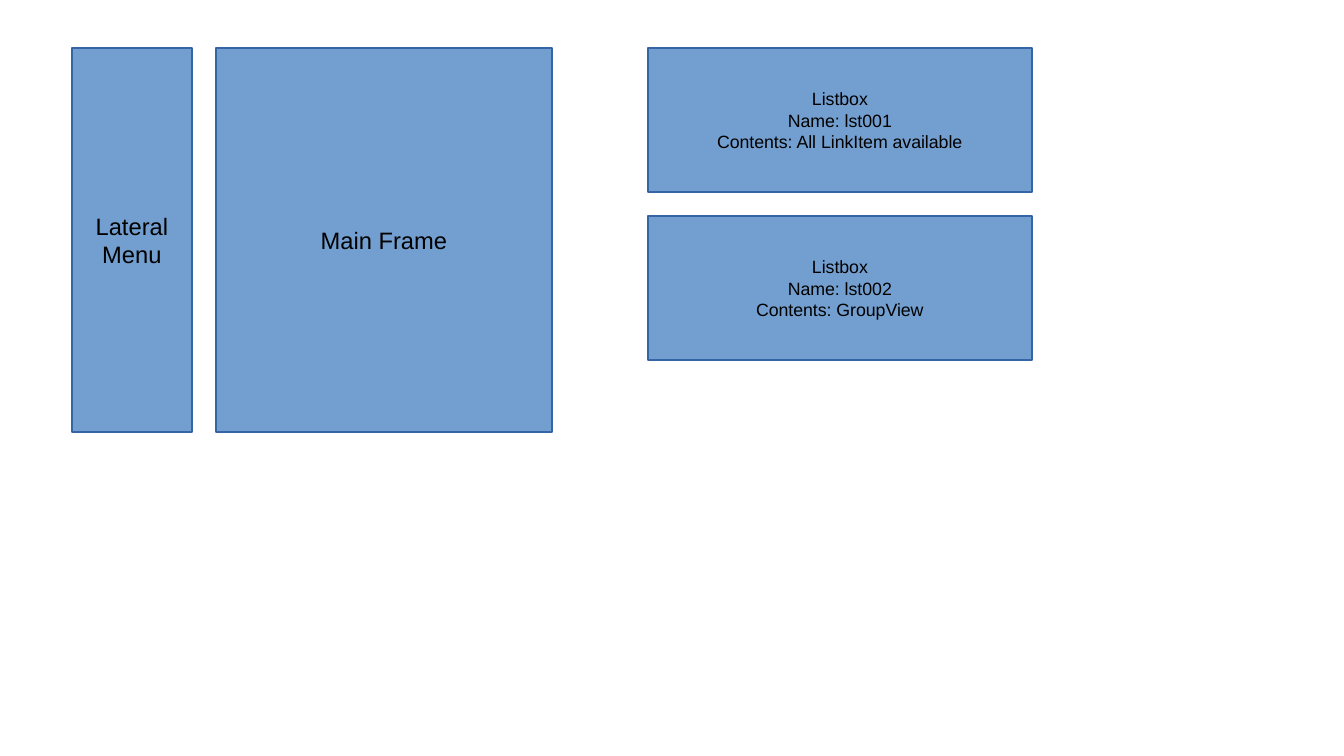
from dataclasses import dataclass

from pptx import Presentation
from pptx.dml.color import RGBColor
from pptx.enum.shapes import MSO_SHAPE
from pptx.enum.text import MSO_ANCHOR, PP_ALIGN
from pptx.util import Cm, Pt


@dataclass(frozen=True)
class Theme:
    fill: RGBColor = RGBColor(0x72, 0x9F, 0xCF)
    line: RGBColor = RGBColor(0x34, 0x65, 0xA4)
    text: RGBColor = RGBColor(0, 0, 0)
    font: str = "Arial"
    frame_size: Pt = Pt(14)
    listbox_size: Pt = Pt(10.5)


THEME = Theme()
TOP = 1
FRAME_HEIGHT = 8
LISTBOX_LEFT, LISTBOX_WIDTH, LISTBOX_HEIGHT = 13.5, 8, 3
LISTBOX_GAP = 0.5

FRAMES = [("Lateral Menu", 1.5, 2.5), ("Main Frame", 4.5, 7)]
LISTBOXES = [("lst001", "All LinkItem available"), ("lst002", "GroupView")]


def apply_format(target, values):
    for name, value in values.items():
        setattr(target, name, value)


def add_box(slide, left, top, width, height, lines, size):
    """Add a filled rectangle, in centimetres, with one centred paragraph per line."""
    shape = slide.shapes.add_shape(
        MSO_SHAPE.RECTANGLE, Cm(left), Cm(top), Cm(width), Cm(height)
    )
    shape.shadow.inherit = False
    shape.fill.solid()
    shape.fill.fore_color.rgb = THEME.fill
    shape.line.color.rgb = THEME.line
    shape.line.width = Pt(0)

    text_frame = shape.text_frame
    apply_format(text_frame, {"word_wrap": True, "vertical_anchor": MSO_ANCHOR.MIDDLE})
    text_frame.text = "\n".join(lines)
    for paragraph in text_frame.paragraphs:
        paragraph.alignment = PP_ALIGN.CENTER
        for run in paragraph.runs:
            apply_format(run.font, {"name": THEME.font, "size": size})
            run.font.color.rgb = THEME.text


def add_frame(slide, label, left, width):
    add_box(slide, left, TOP, width, FRAME_HEIGHT, [label], THEME.frame_size)


def add_listbox(slide, row, name, contents):
    top = TOP + row * (LISTBOX_HEIGHT + LISTBOX_GAP)
    lines = ["Listbox", f"Name: {name}", f"Contents: {contents}"]
    add_box(slide, LISTBOX_LEFT, top, LISTBOX_WIDTH, LISTBOX_HEIGHT,
            lines, THEME.listbox_size)


def main():
    presentation = Presentation()
    apply_format(presentation, {"slide_width": Cm(28), "slide_height": Cm(15.75)})
    slide = presentation.slides.add_slide(presentation.slide_layouts[6])

    for label, left, width in FRAMES:
        add_frame(slide, label, left, width)
    for row, (name, contents) in enumerate(LISTBOXES):
        add_listbox(slide, row, name, contents)

    presentation.save("out.pptx")


if __name__ == "__main__":
    main()
